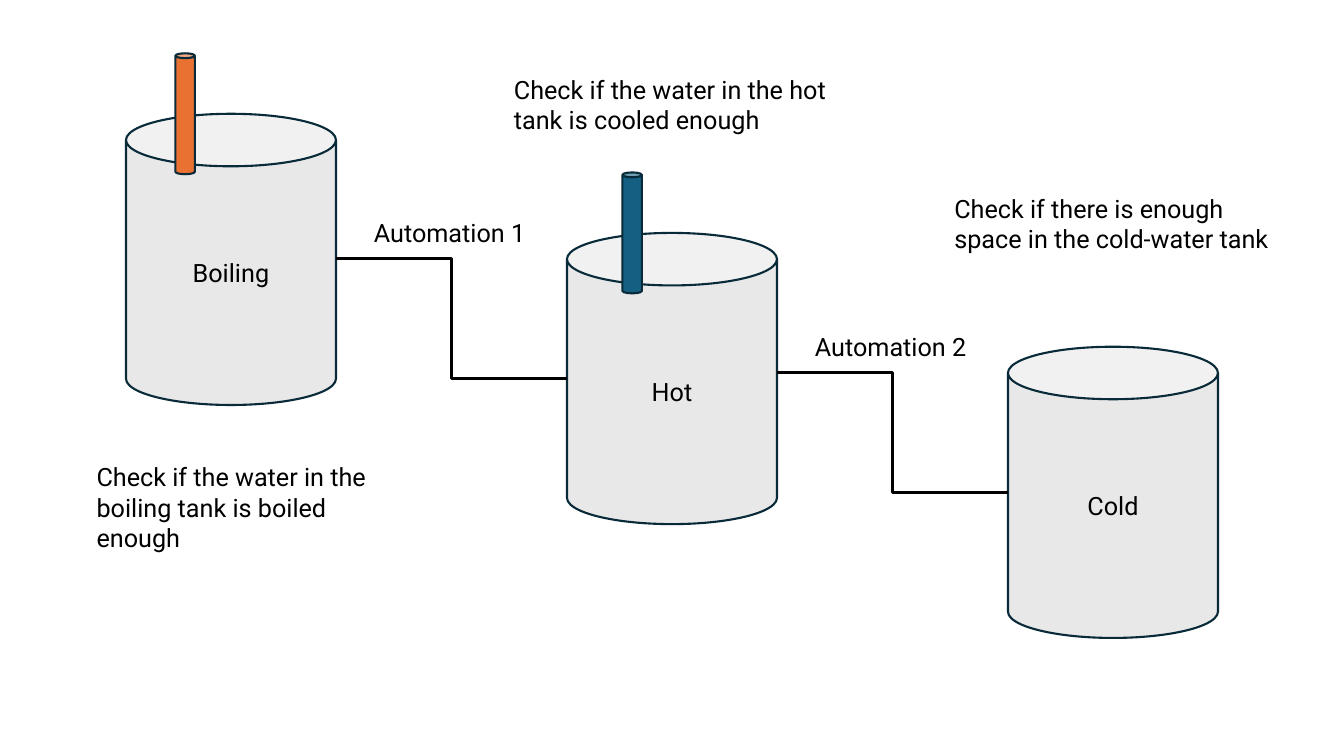
from pptx import Presentation
from pptx.dml.color import RGBColor
from pptx.enum.shapes import MSO_CONNECTOR, MSO_SHAPE
from pptx.enum.text import MSO_ANCHOR, MSO_AUTO_SIZE, PP_ALIGN
from pptx.oxml.ns import qn
from pptx.util import Pt
from lxml import etree

CAN = MSO_SHAPE.CAN
ELBOW = MSO_CONNECTOR.ELBOW
GROW = MSO_AUTO_SIZE.SHAPE_TO_FIT_TEXT
TOP, MIDDLE = MSO_ANCHOR.TOP, MSO_ANCHOR.MIDDLE
LEFT, CENTER = PP_ALIGN.LEFT, PP_ALIGN.CENTER

# Content: tanks (name, top), rods (tank, shift, colour), notes (text, left, top)
TANKS = [("Boiling", 81.3), ("Hot", 166.4), ("Cold", 247.7)]
RODS = [(0, 35.3, "boil"), (1, 39.6, "cool")]
NOTES = [
    ("Check if the water in the boiling tank is boiled enough", 61.9, 326.2),
    ("Check if the water in the hot tank is cooled enough", 360, 49.7),
    ("Check if there is enough space in the cold-water tank", 674.6, 134.6),
]
LABELS = ["Automation 1", "Automation 2"]


class Theme:
    font = "Roboto"
    size = 18
    edge_width = 1.5
    pipe_width = 2
    ink = RGBColor(0, 0, 0)
    edge = RGBColor(0x09, 0x2A, 0x39)
    tank = RGBColor(0xE8, 0xE8, 0xE8)
    rods = {"boil": RGBColor(0xE9, 0x71, 0x32),
            "cool": RGBColor(0x15, 0x60, 0x82)}


# Layout in points
FIRST, STEP = 90, 315
TANK_W, TANK_H = 150, 208
ROD_W, ROD_H, ROD_RISE = 13.9, 86.4, 43.2
PIPE_DROP = 85.7
NOTE_W, NOTE_H = 240, 50.9
LABEL_W, LABEL_H = 124.6, 29.1
LABEL_DX, LABEL_DY = 20, -33

deck = Presentation()
deck.slide_width, deck.slide_height = Pt(960), Pt(540)
slide = deck.slides.add_slide(deck.slide_layouts[6])
shapes = slide.shapes


def write(frame, text, align, anchor):
    frame.word_wrap = True
    frame.vertical_anchor = anchor
    para = frame.paragraphs[0]
    para.alignment = align
    run = para.add_run()
    run.text = text
    run.font.name = Theme.font
    run.font.size = Pt(Theme.size)
    run.font.color.rgb = Theme.ink


def add_can(x, y, w, h, fill):
    can = shapes.add_shape(CAN, Pt(x), Pt(y), Pt(w), Pt(h))
    can.shadow.inherit = False
    can.fill.solid()
    can.fill.fore_color.rgb = fill
    can.line.color.rgb = Theme.edge
    can.line.width = Pt(Theme.edge_width)
    return can


def add_text(text, x, y, w, h):
    frame = shapes.add_textbox(Pt(x), Pt(y), Pt(w), Pt(h)).text_frame
    frame.auto_size = GROW
    write(frame, text, LEFT, TOP)


def add_pipe(x1, y1, x2, y2):
    pipe = shapes.add_connector(ELBOW, Pt(x1), Pt(y1), Pt(x2), Pt(y2))
    pipe.line.color.rgb = Theme.ink
    pipe.line.width = Pt(Theme.pipe_width)
    etree.SubElement(pipe._element.spPr, qn("a:effectLst"))


# Tanks
for i, (name, top) in enumerate(TANKS):
    tank = add_can(FIRST + i * STEP, top, TANK_W, TANK_H, Theme.tank)
    write(tank.text_frame, name, CENTER, MIDDLE)

# Rods
for i, shift, tone in RODS:
    add_can(FIRST + i * STEP + shift, TANKS[i][1] - ROD_RISE,
            ROD_W, ROD_H, Theme.rods[tone])

# Notes
for text, x, y in NOTES:
    add_text(text, x, y, NOTE_W, NOTE_H)

# Pipes between neighbours, each with its label above the start
for i, label in enumerate(LABELS):
    start = FIRST + i * STEP + TANK_W
    end = FIRST + (i + 1) * STEP
    low = TANKS[i + 1][1] + TANK_H / 2
    high = low - PIPE_DROP
    add_pipe(start, high, end, low)
    add_text(label, start + LABEL_DX, high + LABEL_DY, LABEL_W, LABEL_H)

deck.save("out.pptx")
